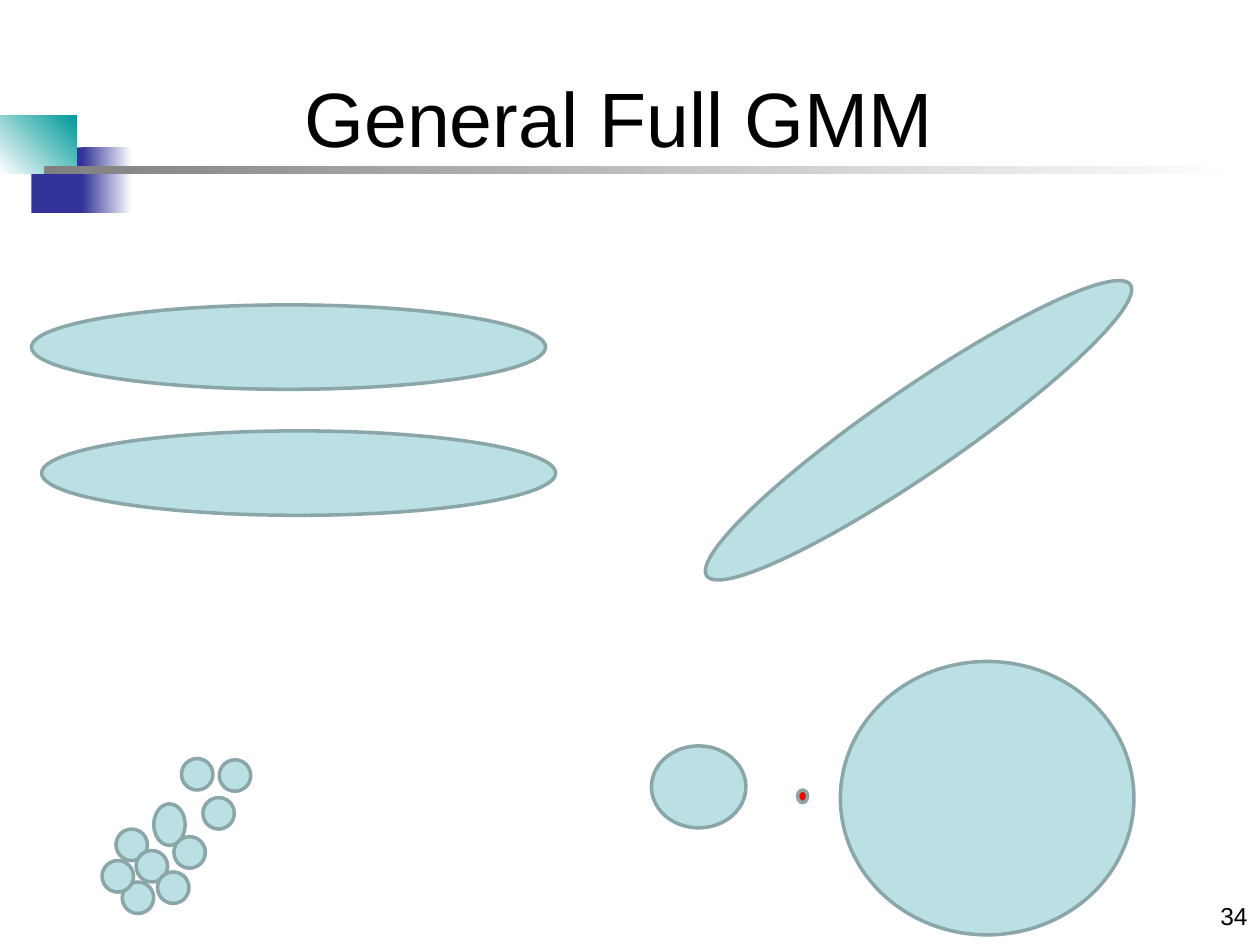
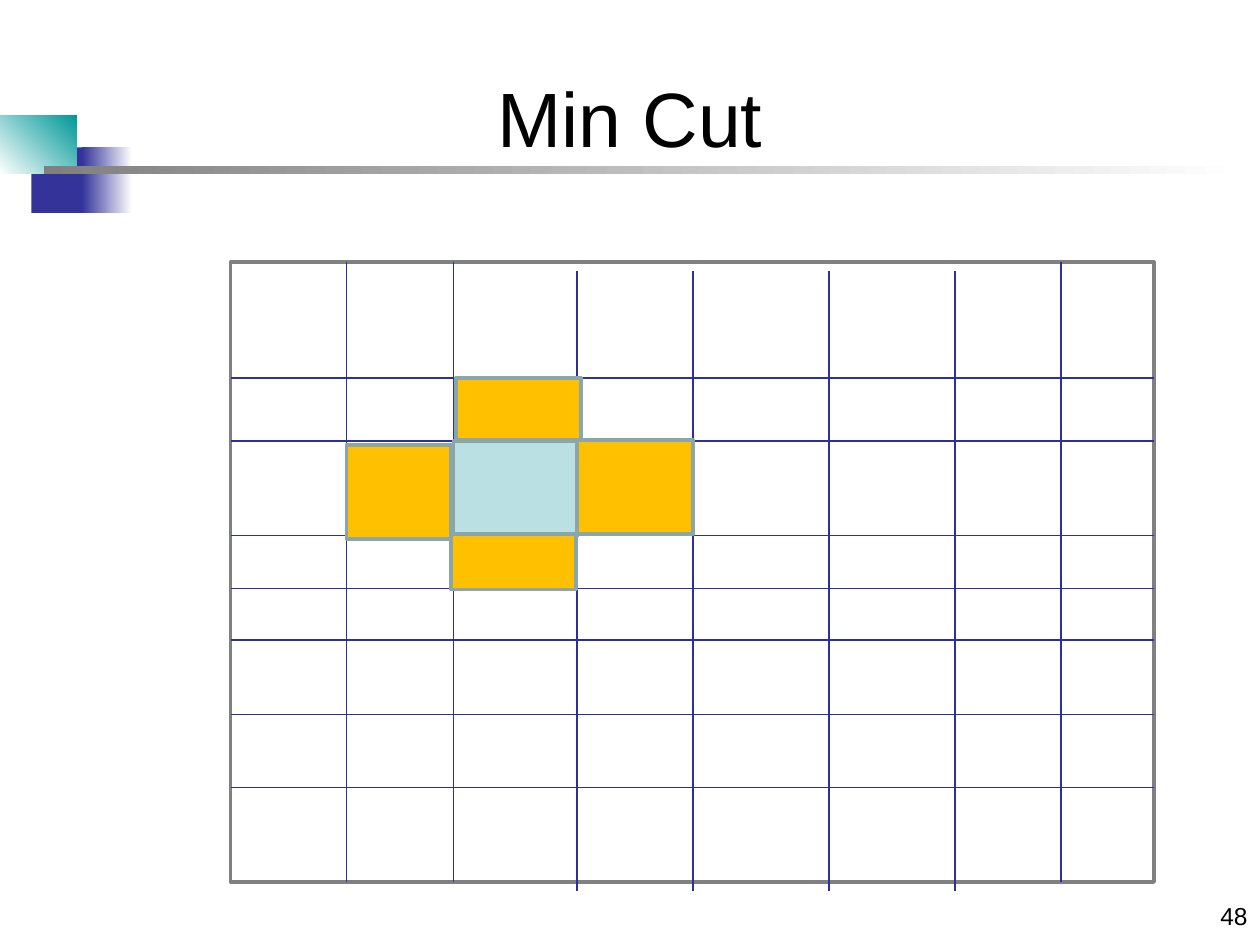
"""Build two slides on Gaussian mixtures and minimum cuts."""
from dataclasses import dataclass

from lxml import etree
from pptx import Presentation
from pptx.dml.color import RGBColor
from pptx.enum.shapes import MSO_CONNECTOR, MSO_SHAPE
from pptx.enum.text import MSO_ANCHOR, PP_ALIGN
from pptx.oxml.ns import qn
from pptx.util import Inches, Pt

RECTANGLE = MSO_SHAPE.RECTANGLE
OVAL = MSO_SHAPE.OVAL
STRAIGHT = MSO_CONNECTOR.STRAIGHT
MIDDLE = MSO_ANCHOR.MIDDLE
TOP = MSO_ANCHOR.TOP
CENTER = PP_ALIGN.CENTER
RIGHT = PP_ALIGN.RIGHT
TITLE_ONLY = 5


@dataclass(frozen=True)
class Theme:
    font: str = "Arial"
    text: str = "000000"
    white: str = "FFFFFF"
    navy: str = "333399"
    teal: str = "009999"
    gray: str = "808080"
    pale: str = "BBE0E3"
    edge: str = "8AA6A8"
    red: str = "FF0000"
    amber: str = "FFC000"
    grid: str = "2F2F98"
    title_size: float = 44
    number_size: float = 14
    outline_width: float = 2
    grid_width: float = 0.75


def color(value):
    return RGBColor.from_string(value)


def write_text(frame, text, *, theme, size, align, anchor):
    frame.word_wrap = True
    frame.vertical_anchor = anchor
    paragraph = frame.paragraphs[0]
    paragraph.alignment = align
    run = paragraph.add_run()
    run.text = text
    run.font.name = theme.font
    run.font.size = Pt(size)
    run.font.color.rgb = color(theme.text)


class SlideBuilder:
    def __init__(self, presentation, theme):
        self.presentation = presentation
        self.theme = theme
        self.slide = None

    def start(self, title, number):
        layout = self.presentation.slide_layouts[TITLE_ONLY]
        self.slide = self.presentation.slides.add_slide(layout)
        self.bands()
        self.title(title)
        self.page_number(number)

    def title(self, text):
        shape = self.slide.shapes.title
        shape.left, shape.top = Inches(0.5), Inches(0.3)
        shape.width, shape.height = Inches(9), Inches(1.25)
        write_text(shape.text_frame, text, theme=self.theme,
                   size=self.theme.title_size, align=CENTER, anchor=MIDDLE)

    def page_number(self, number):
        box = self.slide.shapes.add_textbox(
            Inches(9), Inches(7.1), Inches(1), Inches(0.33))
        write_text(box.text_frame, str(number), theme=self.theme,
                   size=self.theme.number_size, align=RIGHT, anchor=TOP)

    def bands(self):
        theme = self.theme
        self.shape(RECTANGLE, 0.25, 1.17, 0.46, 0.52, fill=theme.navy)
        self.gradient(0.65, 1.17, 0.4, 0.52, theme.navy, theme.white)
        self.gradient(0, 0.92, 0.61, 0.46, theme.white, theme.teal, angle=45)
        self.gradient(0.35, 1.32, 9.51, 0.06, theme.gray, theme.white)

    def shape(self, kind, left, top, width, height, fill=None, line=None):
        shape = self.slide.shapes.add_shape(
            kind, Inches(left), Inches(top), Inches(width), Inches(height))
        shape.shadow.inherit = False
        if fill:
            shape.fill.solid()
            shape.fill.fore_color.rgb = color(fill)
        else:
            shape.fill.background()
        if line:
            shape.line.color.rgb = color(line)
            shape.line.width = Pt(self.theme.outline_width)
        else:
            shape.line.fill.background()
        return shape

    def gradient(self, left, top, width, height, start, end, angle=0):
        shape = self.shape(RECTANGLE, left, top, width, height)
        shape.fill.gradient()
        shape.fill.gradient_angle = angle
        for stop, position, value in zip(
                shape.fill.gradient_stops, (0, 1), (start, end)):
            stop.position = position
            stop.color.rgb = color(value)

    def ellipse(self, left, top, width, height, fill=None, rotation=0):
        shape = self.shape(OVAL, left, top, width, height,
                           fill or self.theme.pale, self.theme.edge)
        shape.rotation = rotation

    def cell(self, left, top, width, height, fill):
        self.shape(RECTANGLE, left, top, width, height, fill, self.theme.edge)

    def line(self, x1, y1, x2, y2):
        connector = self.slide.shapes.add_connector(
            STRAIGHT, Inches(x1), Inches(y1), Inches(x2), Inches(y2))
        connector.line.color.rgb = color(self.theme.grid)
        connector.line.width = Pt(self.theme.grid_width)
        properties = connector._element.spPr
        etree.SubElement(properties, qn("a:effectLst"))


def build_mixture(builder):
    builder.start("General Full GMM ", 34)
    for left, top, rotation in (
            (0.25, 2.42, 0), (0.33, 3.42, 0), (5.25, 3.08, 145.5)):
        builder.ellipse(left, top, 4.08, 0.67, rotation=rotation)

    dot_size = 0.25
    dots = ((0.92, 6.58), (1.08, 6.75), (1.25, 6.92), (0.97, 7),
            (0.81, 6.83), (1.74, 6.03), (1.61, 6.33), (1.38, 6.64),
            (1.44, 6.02))
    for left, top in dots:
        builder.ellipse(left, top, dot_size, dot_size)
    builder.ellipse(1.22, 6.38, dot_size, 0.33)

    builder.ellipse(6.67, 5.25, 2.33, 2.17)
    builder.ellipse(5.17, 5.92, 0.75, 0.65)
    builder.ellipse(6.33, 6.27, 0.08, 0.1, fill=builder.theme.red)


def build_min_cut(builder):
    theme = builder.theme
    builder.start("Min Cut", 48)
    left, top, width, height = 1.83, 2.08, 7.33, 4.92
    builder.shape(RECTANGLE, left, top, width, height, line=theme.gray)

    lowered = 0.07
    columns = ((2.75, 0), (3.6, 0), (4.58, lowered), (5.5, lowered),
               (6.58, lowered), (7.58, lowered), (8.42, 0))
    for x, shift in columns:
        builder.line(x, top + shift, x, top + height + shift)
    for y in (3, 3.5, 4.25, 4.67, 5.08, 5.67, 6.25):
        builder.line(left, y, left + width, y)

    builder.cell(3.6, 3.5, 0.99, 0.75, theme.pale)
    neighbors = ((3.58, 4.24, 0.99, 0.44), (2.75, 3.53, 0.83, 0.75),
                 (4.58, 3.49, 0.92, 0.75), (3.62, 3, 0.99, 0.49))
    for neighbor in neighbors:
        builder.cell(*neighbor, theme.amber)


def main():
    presentation = Presentation()
    presentation.slide_width = Inches(10)
    presentation.slide_height = Inches(7.5)
    builder = SlideBuilder(presentation, Theme())
    build_mixture(builder)
    build_min_cut(builder)
    presentation.save("out.pptx")


if __name__ == "__main__":
    main()
